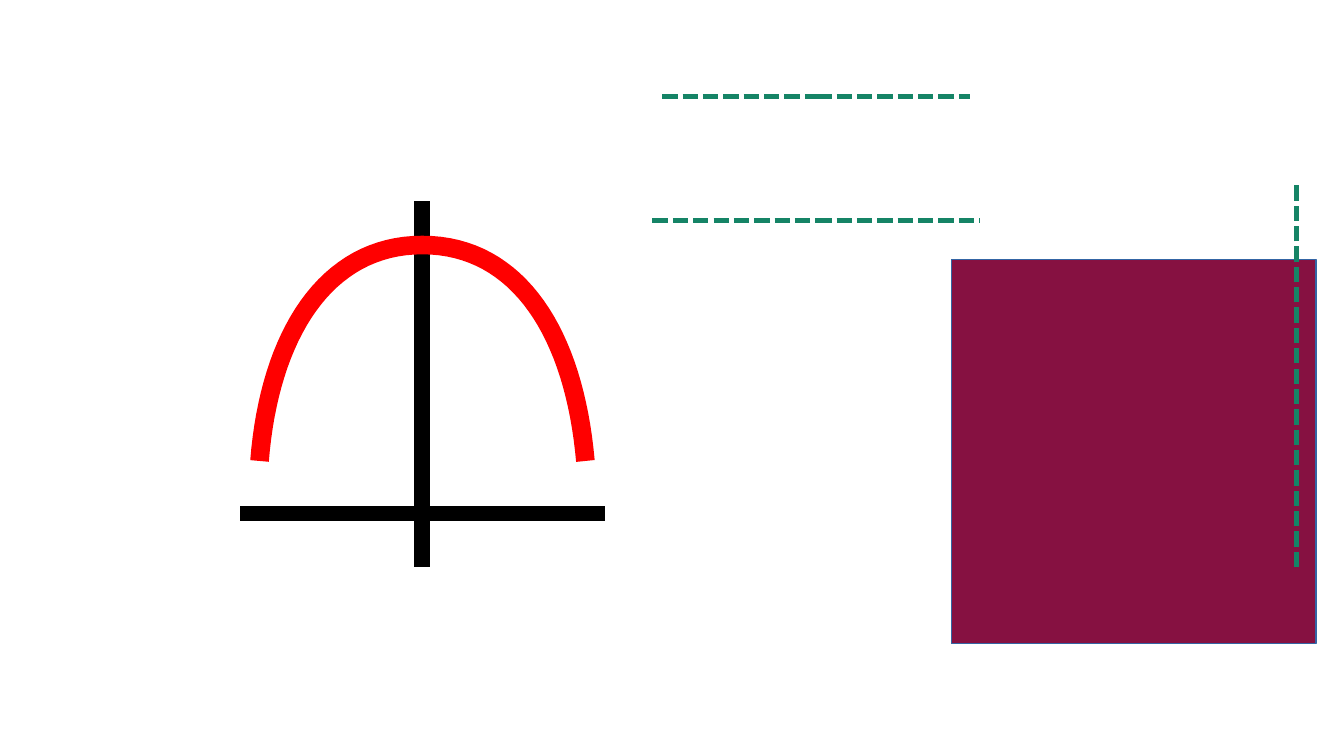
from lxml import etree
from pptx import Presentation
from pptx.dml.color import RGBColor
from pptx.enum.dml import MSO_LINE
from pptx.enum.shapes import MSO_CONNECTOR, MSO_SHAPE
from pptx.oxml.ns import qn
from pptx.util import Pt

STRAIGHT = MSO_CONNECTOR.STRAIGHT
RECTANGLE = MSO_SHAPE.RECTANGLE
SHORT_DASH = MSO_LINE.SQUARE_DOT

BLACK = RGBColor(0x00, 0x00, 0x00)
RED = RGBColor(0xFF, 0x00, 0x00)
GREEN = RGBColor(0x15, 0x84, 0x66)
MAROON = RGBColor(0x86, 0x11, 0x41)
BLUE = RGBColor(0x34, 0x65, 0xA4)


def bezier(start, first, second, end, steps=32):
    """Points along a cubic curve, without its start."""
    points = []
    for step in range(1, steps + 1):
        t = step / steps
        weights = ((1 - t) ** 3, 3 * t * (1 - t) ** 2, 3 * t * t * (1 - t), t ** 3)
        points.append(tuple(
            sum(weight * value for weight, value in zip(weights, values))
            for values in zip(start, first, second, end)))
    return points


class Page:
    """Draws on one slide, with all lengths in points."""

    def __init__(self, deck):
        self.slide = deck.slides.add_slide(deck.slide_layouts[6])
        self.shapes = self.slide.shapes

    def style_line(self, shape, color, width, dash=None):
        shape.line.color.rgb = color
        shape.line.width = Pt(width)
        if dash is not None:
            shape.line.dash_style = dash

    def rectangle(self, left, top, width, height, fill, line):
        box = self.shapes.add_shape(
            RECTANGLE, Pt(left), Pt(top), Pt(width), Pt(height))
        box.shadow.inherit = False
        box.fill.solid()
        box.fill.fore_color.rgb = fill
        self.style_line(box, line, 0)

    def line(self, start, end, color, width, dash=None):
        connector = self.shapes.add_connector(
            STRAIGHT, *(Pt(value) for value in (*start, *end)))
        self.style_line(connector, color, width, dash)
        etree.SubElement(connector._element.spPr, qn("a:effectLst"))

    def curve(self, start, segments, color, width):
        builder = self.shapes.build_freeform(Pt(start[0]), Pt(start[1]))
        for first, second, end in segments:
            points = bezier(start, first, second, end)
            builder.add_line_segments(
                [(Pt(x), Pt(y)) for x, y in points], close=False)
            start = end
        arch = builder.convert_to_shape()
        arch.shadow.inherit = False
        arch.fill.background()
        self.style_line(arch, color, width)


def main():
    deck = Presentation()
    deck.slide_width, deck.slide_height = Pt(793.44), Pt(446.4)
    page = Page(deck)

    # Maroon square
    page.rectangle(561.6, 153.4, 215.3, 226.8, MAROON, BLUE)

    # Axes
    page.line((249.1, 118.8), (249.1, 334.8), BLACK, 9)
    page.line((141.8, 303.1), (357.1, 303.1), BLACK, 9)

    # Red arch
    page.curve((153.2, 272.2), [
        ((159.1, 198), (192.2, 144.7), (249.3, 144.7)),
        ((306.7, 144.7), (339.1, 198), (345.6, 272.2)),
    ], RED, 11)

    # Dashed guides: two halves meet in each horizontal one
    middle = 481.9
    for left, right, y in ((391, 572.4, 56.9), (385.2, 578.2, 130.3)):
        page.line((left, y), (middle, y), GREEN, 3, SHORT_DASH)
        page.line((middle, y), (right, y), GREEN, 3, SHORT_DASH)
    page.line((765.4, 334.8), (765.4, 108), GREEN, 3, SHORT_DASH)

    deck.save("out.pptx")


if __name__ == "__main__":
    main()
